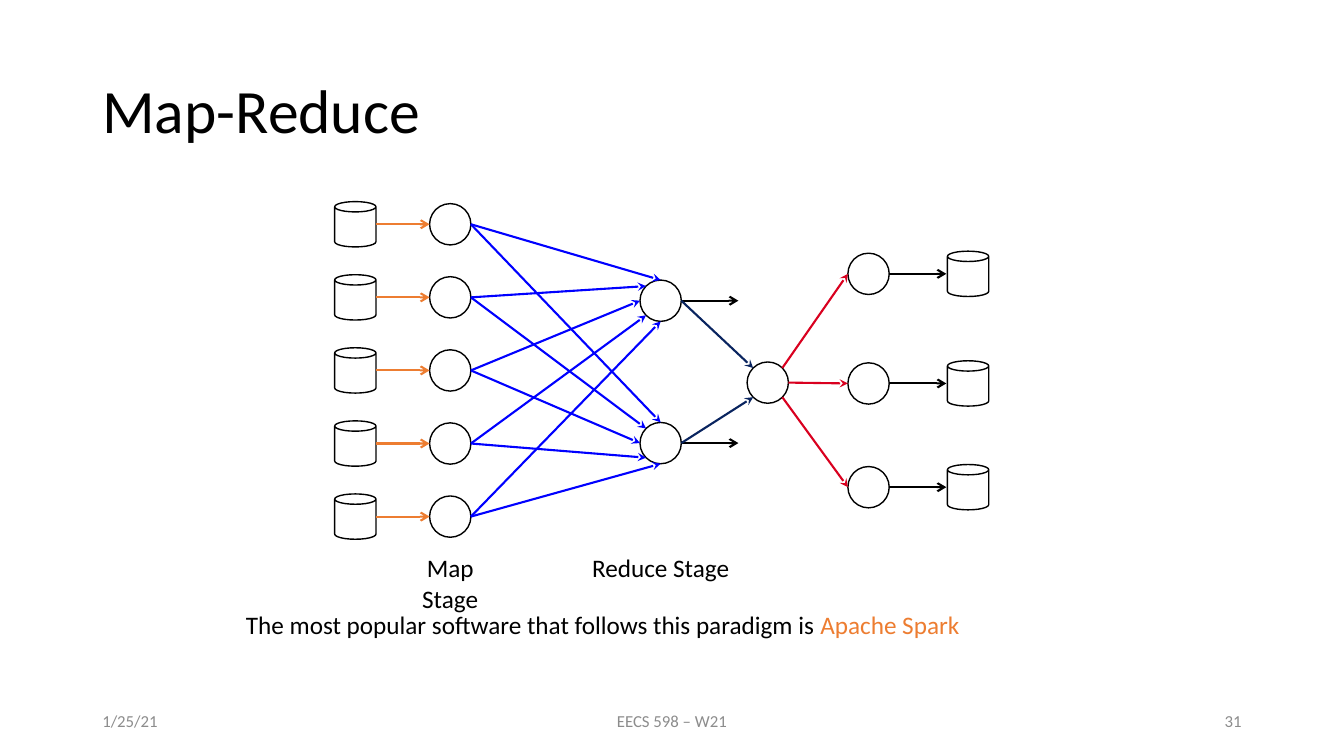
from collections import namedtuple
from math import cos, radians, sin

from lxml.etree import SubElement
from pptx import Presentation
from pptx.dml.color import RGBColor
from pptx.enum.shapes import MSO_CONNECTOR, MSO_SHAPE
from pptx.enum.text import MSO_ANCHOR, PP_ALIGN
from pptx.oxml.ns import qn
from pptx.util import Emu, Pt

COLUMNS, ROWS = 160, 90
CELL = 76200
COLORS = {"ink": "000000", "muted": "8C8C8C", "read": "ED7D31",
          "shuffle": "0000FF", "join": "09245F", "spread": "D9001F"}
FONT = "Calibri"

NODE = 4.92
CAN_HEIGHT = 5.4
OUTPUT_ARROW = 6.8
RIGHT, LEFT = 90, 270

Box = namedtuple("Box", "left top width height")
Point = namedtuple("Point", "x y")


def cells(count):
    return Emu(round(count * CELL))


def color(name):
    return RGBColor.from_string(COLORS[name])


def add_text(slide, box, runs, size=18, align=PP_ALIGN.LEFT,
             anchor=MSO_ANCHOR.TOP, wrap=True, spacing=None):
    """Write runs, a list of (text, colour name), as one paragraph in box."""
    frame = slide.shapes.add_textbox(*map(cells, box)).text_frame
    frame.word_wrap = wrap
    frame.vertical_anchor = anchor
    paragraph = frame.paragraphs[0]
    paragraph.alignment = align
    if spacing:
        paragraph.line_spacing = spacing
    for text, tone in runs:
        run = paragraph.add_run()
        run.text = text
        run.font.name = FONT
        run.font.size = Pt(size)
        run.font.color.rgb = color(tone)


def add_outline(slide, kind, center, height):
    shape = slide.shapes.add_shape(
        kind, cells(center.x - NODE / 2), cells(center.y - height / 2),
        cells(NODE), cells(height))
    shape.shadow.inherit = False
    shape.fill.background()
    shape.line.color.rgb = color("ink")
    shape.line.width = Pt(1)


def add_node(slide, center):
    add_outline(slide, MSO_SHAPE.OVAL, center, NODE)


def add_store(slide, center):
    add_outline(slide, MSO_SHAPE.CAN, center, CAN_HEIGHT)


def add_arrow(slide, start, end, tone, head="stealth"):
    arrow = slide.shapes.add_connector(
        MSO_CONNECTOR.STRAIGHT, *map(cells, (*start, *end)))
    arrow.line.color.rgb = color(tone)
    arrow.line.width = Pt(1.5)
    SubElement(arrow.line._ln, qn("a:tailEnd"), type=head)
    SubElement(arrow._element.spPr, qn("a:effectLst"))


def rim(center, degrees):
    """Point on a node's edge, in degrees clockwise from its top."""
    angle = radians(degrees)
    return Point(center.x + NODE / 2 * sin(angle),
                 center.y - NODE / 2 * cos(angle))


def add_output_arrow(slide, node):
    start = rim(node, RIGHT)
    add_arrow(slide, start, Point(start.x + OUTPUT_ARROW, start.y), "ink", "arrow")


def add_map_stage(slide, stores, mappers):
    for store, mapper in zip(stores, mappers):
        add_store(slide, store)
        add_node(slide, mapper)
        add_arrow(slide, rim(store, RIGHT), rim(mapper, LEFT), "read", "arrow")


def add_reduce_stage(slide, mappers, reducers):
    for reducer in reducers:
        add_node(slide, reducer)
        add_output_arrow(slide, reducer)
        for order, mapper in enumerate(mappers):
            add_arrow(slide, rim(mapper, RIGHT), rim(reducer, -45 * order), "shuffle")


def add_next_stages(slide, reducers, joiner, workers, sinks):
    add_node(slide, joiner)
    for reducer, side in zip(reducers, (315, 225)):
        add_arrow(slide, rim(reducer, RIGHT), rim(joiner, side), "join")
    for worker, sink, side in zip(workers, sinks, (45, 90, 135)):
        add_node(slide, worker)
        add_store(slide, sink)
        add_arrow(slide, rim(joiner, side), rim(worker, LEFT), "spread")
        add_output_arrow(slide, worker)


def add_dataflow(slide, box):
    def column(x, rows):
        return [Point(box.left + x, box.top + y) for y in rows]

    map_rows = [2.7 + 8.7 * order for order in range(5)]
    worker_rows = [8.6, 21.65, 34]
    stores, mappers = column(2.3, map_rows), column(13.6, map_rows)
    reducers = column(38.65, [11.8, 28.75])
    joiner = column(51.4, [21.55])[0]
    workers, sinks = column(63.4, worker_rows), column(75.25, worker_rows)

    add_map_stage(slide, stores, mappers)
    add_reduce_stage(slide, mappers, reducers)
    add_next_stages(slide, reducers, joiner, workers, sinks)
    for stage, label, width in ((mappers, "Map Stage", 12),
                                (reducers, "Reduce Stage", 20)):
        label_box = Box(stage[0].x - width / 2, box.top + 41.2, width, 4.8)
        add_text(slide, label_box, [(label, "ink")], align=PP_ALIGN.CENTER)


def add_footer(slide, box):
    side = 36
    middle = box.width / 2 - 27
    parts = (("1/25/21", 0, side, PP_ALIGN.LEFT),
             ("EECS 598 – W21", middle, 54, PP_ALIGN.CENTER),
             ("31", box.width - side, side, PP_ALIGN.RIGHT))
    for text, offset, width, align in parts:
        add_text(slide, Box(box.left + offset, box.top, width, box.height),
                 [(text, "muted")], size=12, align=align, anchor=MSO_ANCHOR.MIDDLE)


def main():
    deck = Presentation()
    deck.slide_width, deck.slide_height = cells(COLUMNS), cells(ROWS)
    slide = deck.slides.add_slide(deck.slide_layouts[6])
    add_text(slide, Box(11, 4.8, 138, 17.4), [("Map-Reduce", "ink")],
             size=44, anchor=MSO_ANCHOR.MIDDLE, spacing=0.9)
    add_dataflow(slide, Box(40, 24, 78, 46))
    add_text(slide, Box(28.1, 72, 88.4, 4.8),
             [("The most popular software that follows this paradigm is ", "ink"),
              ("Apache Spark", "read")], wrap=False)
    add_footer(slide, Box(11, 83.4, 138, 4.8))
    deck.save("out.pptx")


if __name__ == "__main__":
    main()
